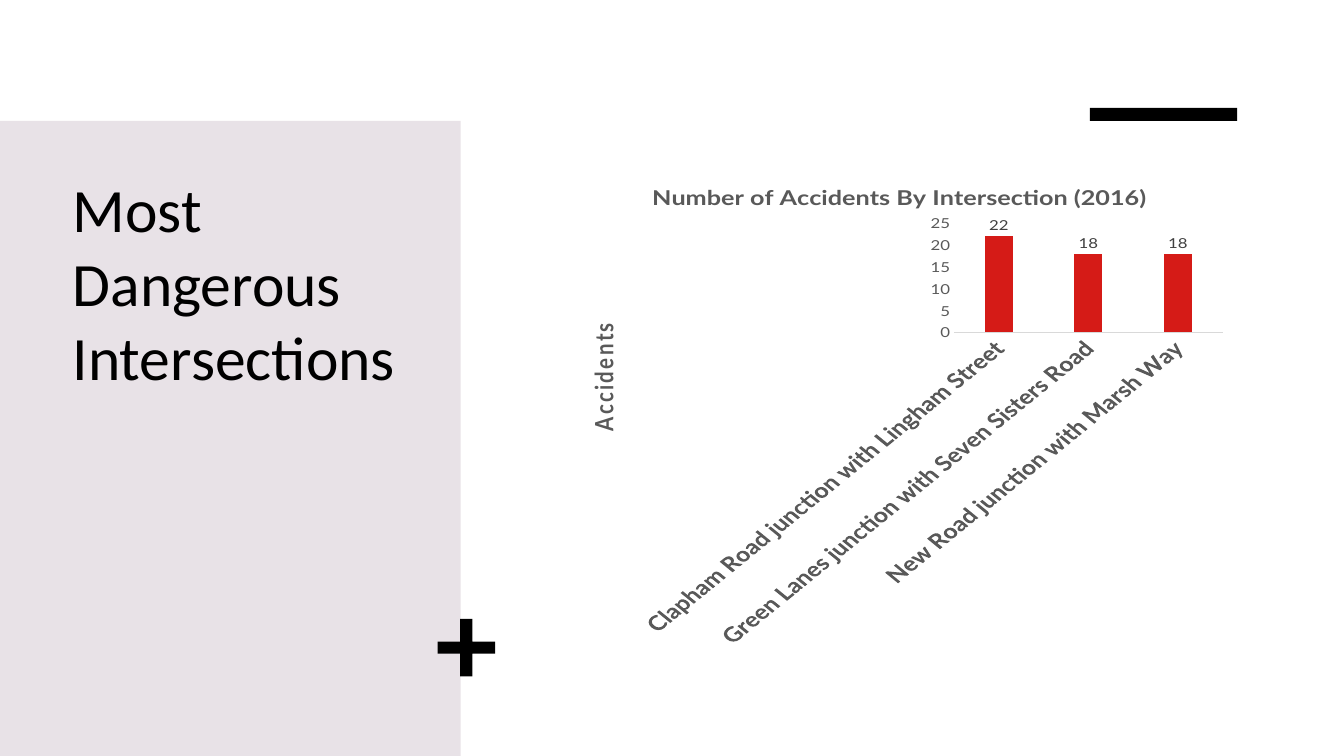
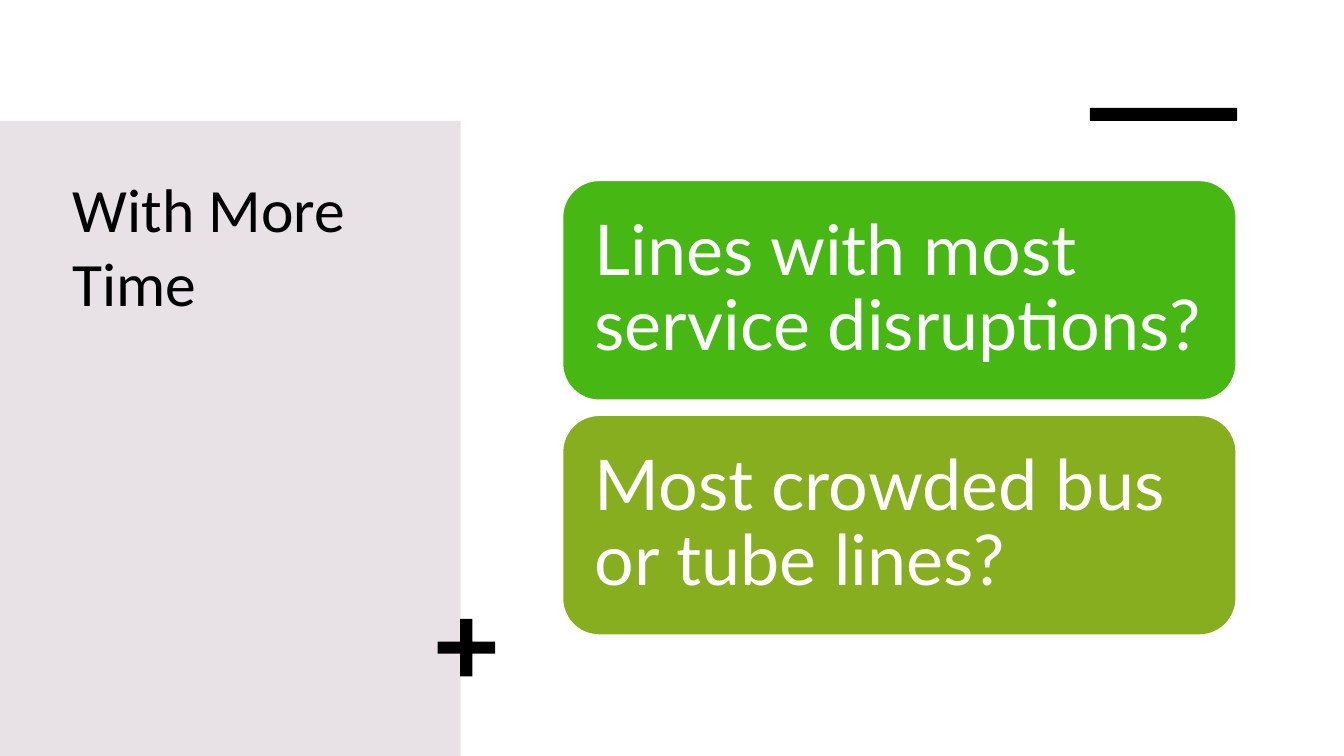
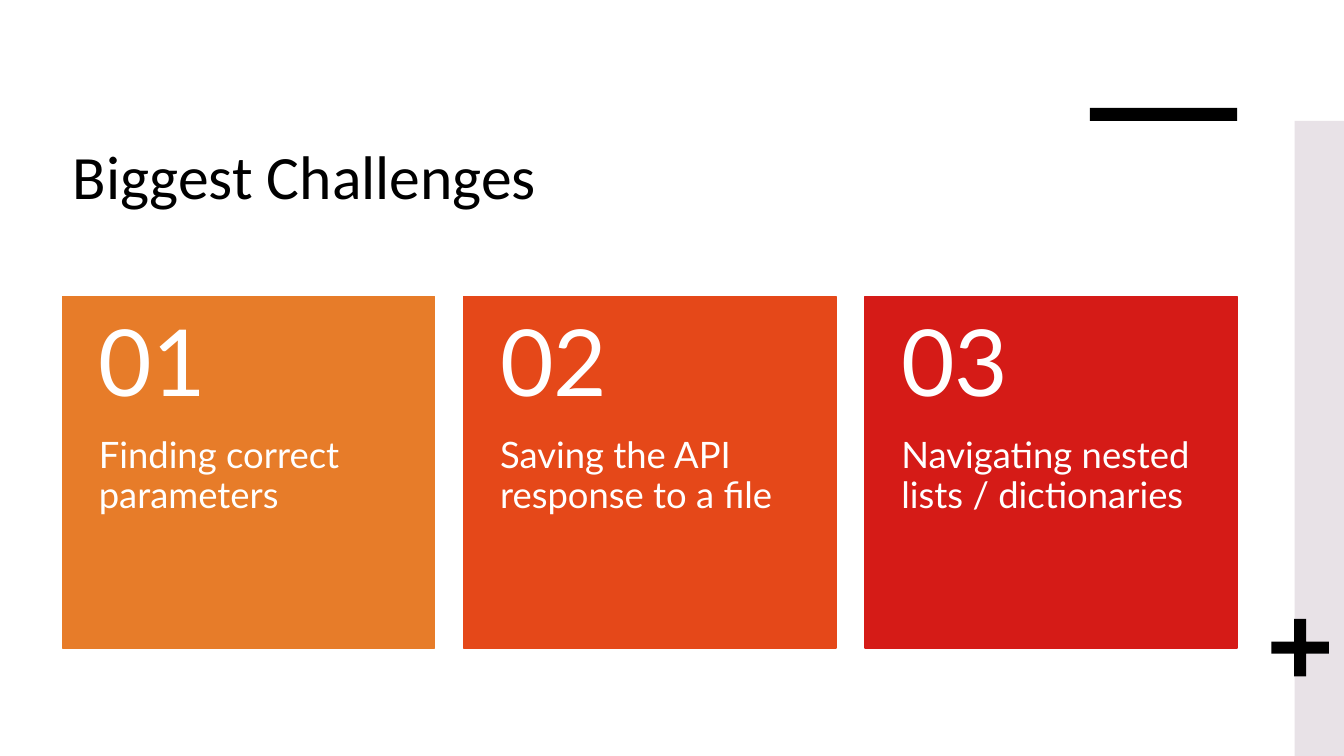
from pptx import Presentation
from pptx.chart.data import CategoryChartData
from pptx.dml.color import RGBColor
from pptx.enum.chart import XL_CHART_TYPE, XL_LABEL_POSITION, XL_TICK_MARK
from pptx.enum.shapes import MSO_SHAPE
from pptx.enum.text import MSO_ANCHOR, PP_ALIGN
from pptx.util import Inches, Pt

COLORS = {
    "black": "000000",
    "white": "FFFFFF",
    "panel": "E8E2E7",
    "axis_text": "595959",
    "axis_line": "D9D9D9",
    "label_text": "404040",
    "green": "47B714",
    "olive": "87AE1F",
    "amber": "E77C29",
    "orange": "E54819",
    "red": "D51B17",
}
TITLE_FONT = "Calibri"
BODY_FONT = "Lato"
PANEL_TOP, PANEL_HEIGHT = 1.2, 6.3
PLUS_SIZE = 0.57


def color(name):
    """Return the named colour of the palette."""
    return RGBColor.from_string(COLORS[name])


def style_font(font, size, color_name, name=BODY_FONT, bold=False):
    """Format a text or chart font."""
    font.name = name
    font.size = Pt(size)
    font.bold = bold
    font.color.rgb = color(color_name)


def write_text(shape, text, size, color_name="white", font_name=BODY_FONT,
               insets=(0.1, 0.05, 0.1, 0.05), anchor=MSO_ANCHOR.TOP, spacing=0.9):
    """Fill a shape with one left-aligned paragraph."""
    frame = shape.text_frame
    frame.word_wrap = True
    frame.vertical_anchor = anchor
    (frame.margin_left, frame.margin_top,
     frame.margin_right, frame.margin_bottom) = map(Inches, insets)
    paragraph = frame.paragraphs[0]
    paragraph.alignment = PP_ALIGN.LEFT
    paragraph.line_spacing = spacing
    run = paragraph.add_run()
    run.text = text
    style_font(run.font, size, color_name, font_name)


def add_block(slide, box, fill, kind=MSO_SHAPE.RECTANGLE, line=None):
    """Add a flat filled shape, outlined when a line colour is given."""
    shape = slide.shapes.add_shape(kind, *map(Inches, box))
    shape.shadow.inherit = False
    shape.fill.solid()
    shape.fill.fore_color.rgb = color(fill)
    if line:
        shape.line.color.rgb = color(line)
        shape.line.width = Pt(1)
    else:
        shape.line.fill.background()
    return shape


def add_label(slide, box, text, size, **text_format):
    """Add a text box."""
    label = slide.shapes.add_textbox(*map(Inches, box))
    write_text(label, text, size, **text_format)


def add_titled_slide(presentation, title_text, title_box, panel_left, panel_width, plus_left):
    """Add a slide with its title, side panel, top bar and plus sign."""
    slide = presentation.slides.add_slide(presentation.slide_layouts[5])
    title = slide.shapes.title
    title.left, title.top, title.width, title.height = map(Inches, title_box)
    write_text(title, title_text, 44, color_name="black", font_name=TITLE_FONT, spacing=1.0)
    panel = add_block(slide, (panel_left, PANEL_TOP, panel_width, PANEL_HEIGHT), "panel")
    title.element.addprevious(panel.element)
    add_block(slide, (10.81, 1.07, 1.46, 0.13), "black")
    plus = add_block(slide, (plus_left, 6.14, PLUS_SIZE, PLUS_SIZE), "black", MSO_SHAPE.CROSS)
    plus.adjustments[0] = 0.395
    return slide


def add_left_panel_slide(presentation, title_text):
    """Add a slide whose title stands on a wide panel at the left."""
    return add_titled_slide(presentation, title_text, (0.62, 1.65, 3.5, 4.4),
                            panel_left=0, panel_width=4.57, plus_left=4.34)


def write_chart_title(owner, text):
    """Give a chart or an axis a bold title."""
    owner.has_title = True
    title = owner.chart_title if hasattr(owner, "chart_title") else owner.axis_title
    run = title.text_frame.paragraphs[0].add_run()
    run.text = text
    style_font(run.font, 18, "axis_text", bold=True)


def style_axis(axis, size, bold=False):
    """Strip an axis of grid and ticks and format its labels."""
    axis.has_major_gridlines = False
    axis.major_tick_mark = axis.minor_tick_mark = XL_TICK_MARK.NONE
    style_font(axis.tick_labels.font, size, "axis_text", bold=bold)


def add_column_chart(slide, box, title, value_title, values):
    """Add a single-series column chart with slanted category labels."""
    data = CategoryChartData()
    data.categories = list(values)
    data.add_series("Series 1", list(values.values()))
    chart = slide.shapes.add_chart(
        XL_CHART_TYPE.COLUMN_CLUSTERED, *map(Inches, box), data).chart
    style_font(chart.font, 10, "black")
    chart.has_legend = False
    write_chart_title(chart, title)

    category_axis, value_axis = chart.category_axis, chart.value_axis
    style_axis(category_axis, 18, bold=True)
    category_axis.format.line.color.rgb = color("axis_line")
    category_axis.format.line.width = Pt(0.75)
    category_axis._element.txPr.bodyPr.set("rot", "-2700000")
    style_axis(value_axis, 12)
    value_axis.format.line.fill.background()
    value_axis.minimum_scale, value_axis.maximum_scale = 0, 25
    value_axis.major_unit = 5
    write_chart_title(value_axis, value_title)

    plot = chart.plots[0]
    plot.gap_width, plot.overlap = 219, -27
    plot.vary_by_categories = False
    columns = plot.series[0].format.fill
    columns.solid()
    columns.fore_color.rgb = color("red")
    plot.has_data_labels = True
    labels = plot.data_labels
    labels.show_value = True
    labels.position = XL_LABEL_POSITION.OUTSIDE_END
    style_font(labels.font, 12, "label_text")


def build_intersections(presentation):
    """Build the slide with accidents by intersection."""
    slide = add_left_panel_slide(presentation, "Most Dangerous Intersections")
    accidents = {
        "Clapham Road junction with Lingham Street": 22,
        "Green Lanes junction with Seven Sisters Road": 18,
        "New Road junction with Marsh Way": 18,
    }
    add_column_chart(slide, (5.58, 1.65, 6.68, 4.78),
                     "Number of Accidents By Intersection (2016)", "Accidents", accidents)


def build_more_time(presentation):
    """Build the slide with open questions."""
    slide = add_left_panel_slide(presentation, "With More Time")
    questions = [
        ("Lines with most service disruptions?", "green"),
        ("Most crowded bus or tube lines?", "olive"),
    ]
    for index, (question, fill) in enumerate(questions):
        card = add_block(slide, (5.58, 1.79 + index * 2.33, 6.68, 2.18), fill,
                         MSO_SHAPE.ROUNDED_RECTANGLE, line="white")
        write_text(card, question, 50, insets=(0.21,) * 4, anchor=MSO_ANCHOR.MIDDLE)


def build_challenges(presentation):
    """Build the slide with three numbered cards."""
    slide = add_titled_slide(presentation, "Biggest Challenges", (0.62, 1.32, 9.04, 1.58),
                             panel_left=12.84, panel_width=0.5, plus_left=12.61)
    challenges = [
        ("Finding correct parameters", "amber"),
        ("Saving the API response to a file", "orange"),
        ("Navigating nested lists / dictionaries", "red"),
    ]
    top, width, height, number_height = 2.94, 3.69, 3.49, 1.4
    for index, (challenge, fill) in enumerate(challenges):
        left = 0.62 + index * 3.98
        add_block(slide, (left, top, width, height), fill, line=fill)
        add_label(slide, (left, top + number_height, width, height - number_height),
                  challenge, 26, insets=(0.36, 0, 0.36, 0.36))
        add_label(slide, (left, top, width, number_height), f"{index + 1:02}", 66,
                  insets=(0.36, 0.18, 0.36, 0.18), anchor=MSO_ANCHOR.MIDDLE)


def main():
    """Build and save the presentation."""
    presentation = Presentation()
    presentation.slide_width, presentation.slide_height = Inches(13.33), Inches(7.5)
    build_intersections(presentation)
    build_more_time(presentation)
    build_challenges(presentation)
    presentation.save("out.pptx")


main()
